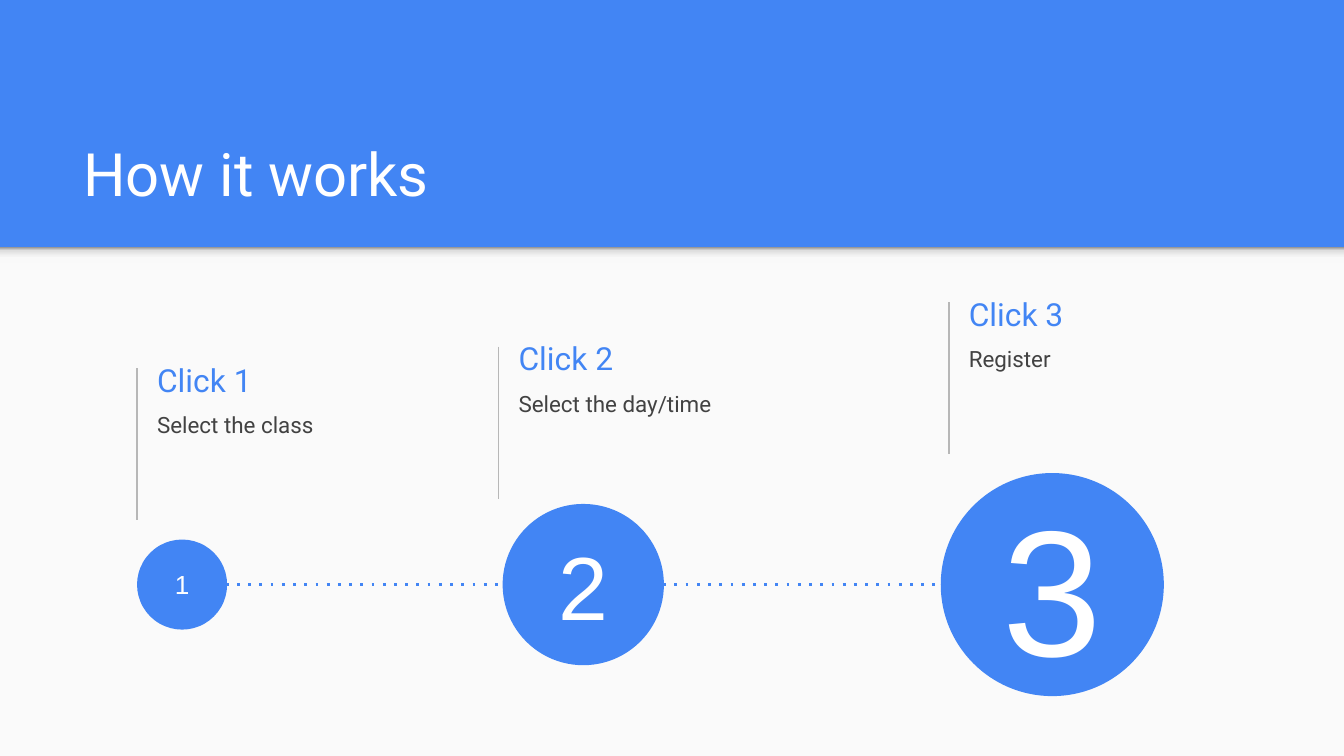
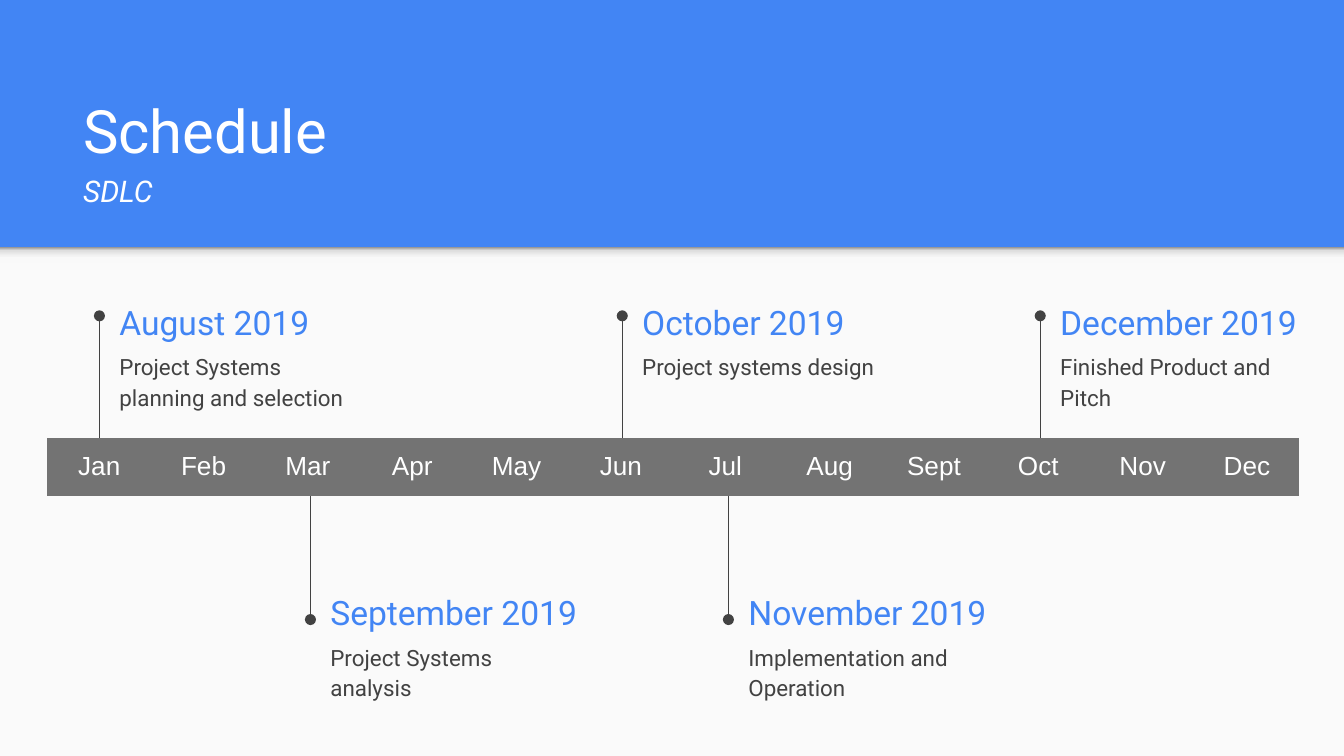
from lxml.etree import SubElement
from pptx import Presentation
from pptx.dml.color import RGBColor
from pptx.enum.shapes import MSO_CONNECTOR, MSO_SHAPE
from pptx.enum.text import MSO_ANCHOR, PP_ALIGN
from pptx.oxml.ns import qn
from pptx.util import Inches, Pt

COLORS = {
    "blue": "4285F4", "paper": "FAFAFA", "white": "FFFFFF", "text": "424242",
    "rule": "B7B7B7", "bar": "737373",
}
SHADE = [(0, "F9F9F9"), (36, "F9F9F9"), (80, "DEDEDE"), (100, "999999")]
HEAD_FONT, NUMBER_FONT = "Roboto", "Arial"
WIDTH, BAND_H = 10, 1.84
HEIGHT = WIDTH * 9 / 16
NO_TABLE_STYLE = "{2D5ABB26-0587-4C30-8999-92F81FD0307C}"


def rgb(name):
    return RGBColor.from_string(COLORS[name])


def inches(*values):
    return [Inches(v) for v in values]


# Basic parts
def add_run(p, text, size, color, font=HEAD_FONT, italic=False):
    r = p.add_run()
    r.text = text
    r.font.size, r.font.name = Pt(size), font
    r.font.color.rgb = rgb(color)
    if italic:
        r.font.italic = True


def set_frame(tf, anchor):
    tf.word_wrap = True
    tf.vertical_anchor = anchor
    tf.margin_left = tf.margin_right = tf.margin_top = tf.margin_bottom = Inches(0.1)


def add_text(s, box, anchor):
    tf = s.shapes.add_textbox(*inches(*box)).text_frame
    set_frame(tf, anchor)
    return tf


def add_shape(s, kind, box, color=None):
    sp = s.shapes.add_shape(kind, *inches(*box))
    sp.shadow.inherit = False
    sp.line.fill.background()
    if color:
        sp.fill.solid()
        sp.fill.fore_color.rgb = rgb(color)
    return sp


def add_line(s, start, end, color, width=0.75, dash=None, tail=None):
    cn = s.shapes.add_connector(MSO_CONNECTOR.STRAIGHT, *inches(*start, *end))
    cn.line.color.rgb = rgb(color)
    cn.line.width = Pt(width)
    ln = cn.line._get_or_add_ln()
    if dash:
        SubElement(ln, qn("a:prstDash")).set("val", dash)
    if tail:
        SubElement(ln, qn("a:tailEnd")).set("type", tail)
    SubElement(cn._element.spPr, qn("a:effectLst"))


# Shared slide frame: blue header, paper body, soft edge, title
def add_frame(prs, title, subtitle=None):
    s = prs.slides.add_slide(prs.slide_layouts[6])
    s.background.fill.solid()
    s.background.fill.fore_color.rgb = rgb("blue")
    add_shape(s, MSO_SHAPE.RECTANGLE, (0, BAND_H, WIDTH, HEIGHT - BAND_H), "paper")

    edge = add_shape(s, MSO_SHAPE.RECTANGLE, (0, BAND_H, WIDTH, 0.12))
    edge.fill.gradient()
    edge.fill.gradient_angle = 90
    stops = edge._element.spPr.find(".//" + qn("a:gsLst"))
    for gs in list(stops):
        stops.remove(gs)
    for pos, color in SHADE:
        gs = SubElement(stops, qn("a:gs"))
        gs.set("pos", str(pos * 1000))
        SubElement(gs, qn("a:srgbClr")).set("val", color)

    tf = add_text(s, (0.52, 0.81, 8.99, 0.84), MSO_ANCHOR.BOTTOM)
    add_run(tf.paragraphs[0], title, 32, "white")
    if subtitle:
        p = tf.add_paragraph()
        p.space_before = p.space_after = Pt(4)
        add_run(p, subtitle, 16, "white", italic=True)
    return s


# Heading with a detail text below it
def add_note(s, x, y, heading, detail, size, width=1.98):
    tf = add_text(s, (x, y, width, 0.43), MSO_ANCHOR.MIDDLE)
    add_run(tf.paragraphs[0], heading, size, "blue")
    tf = add_text(s, (x, y + 0.32, 1.98, 0.63), MSO_ANCHOR.TOP)
    p = tf.paragraphs[0]
    p.line_spacing, p.space_after = 1.15, Pt(16)
    add_run(p, detail, 12, "text")


# Step circle centred on the path
def add_circle(s, x, mid_y, diameter, number, size):
    box = (x, mid_y - diameter / 2, diameter, diameter)
    sp = add_shape(s, MSO_SHAPE.OVAL, box, "blue")
    set_frame(sp.text_frame, MSO_ANCHOR.MIDDLE)
    p = sp.text_frame.paragraphs[0]
    p.alignment = PP_ALIGN.CENTER
    add_run(p, number, size, "white", NUMBER_FONT)


def steps_slide(prs):
    s = add_frame(prs, "How it works")
    path_y = 4.35
    # rule x, rule top, detail, circle x, diameter, number size
    steps = [
        (1.02, 2.74, "Select the class", 1.02, 0.67, 14),
        (3.71, 2.58, "Select the day/time", 3.74, 1.2, 48),
        (7.06, 2.25, "Register", 7, 1.66, 96),
    ]
    add_line(s, (1.68, path_y), (7, path_y), "blue", 1.5, dash="dot")
    for i, (x, y, detail, circle_x, diameter, size) in enumerate(steps, 1):
        add_line(s, (x, y), (x, y + 1.13), "rule")
        add_note(s, x + 0.05, y - 0.13, f"Click {i}", detail, 17)
        add_circle(s, circle_x, path_y, diameter, str(i), size)


# One-row table of months
def add_month_bar(s, box, months):
    table = s.shapes.add_table(1, len(months), *inches(*box)).table
    table.first_row = table.horz_banding = False
    table._tbl.tblPr.find(qn("a:tableStyleId")).text = NO_TABLE_STYLE
    for col, month in zip(table.columns, months):
        col.width = Inches(box[2] / len(months))
    for cell, month in zip(table.rows[0].cells, months):
        cell.fill.solid()
        cell.fill.fore_color.rgb = rgb("bar")
        cell.margin_left = cell.margin_right = Inches(0.1)
        cell.margin_top = cell.margin_bottom = Inches(0.1)
        p = cell.text_frame.paragraphs[0]
        p.alignment = PP_ALIGN.CENTER
        add_run(p, month, 14, "white", NUMBER_FONT)


def schedule_slide(prs):
    s = add_frame(prs, "Schedule", "SDLC")
    bar = (0.35, 3.26, 9.32, 0.42)
    above = [
        (0.74, "August 2019", "Project Systems planning and selection"),
        (4.63, "October 2019", "Project systems design"),
        (7.74, "December 2019", "Finished Product and Pitch"),
    ]
    below = [
        (2.31, "September 2019", "Project Systems analysis"),
        (5.42, "November 2019", "Implementation and Operation"),
    ]
    # milestones, line start, line end, note top, heading width
    rows = [
        (above, bar[1], 2.35, 2.18, 1.98),
        (below, 3.69, 4.61, 4.34, 2.27),
    ]
    for milestones, start, end, note_y, width in rows:
        for x, heading, detail in milestones:
            add_line(s, (x, start), (x, end), "text", tail="oval")
            add_note(s, x + 0.05, note_y, heading, detail, 18, width)
    months = "Jan Feb Mar Apr May Jun Jul Aug Sept Oct Nov Dec".split()
    add_month_bar(s, bar, months)


def main():
    prs = Presentation()
    prs.slide_width, prs.slide_height = inches(WIDTH, HEIGHT)
    steps_slide(prs)
    schedule_slide(prs)
    prs.save("out.pptx")


if __name__ == "__main__":
    main()
